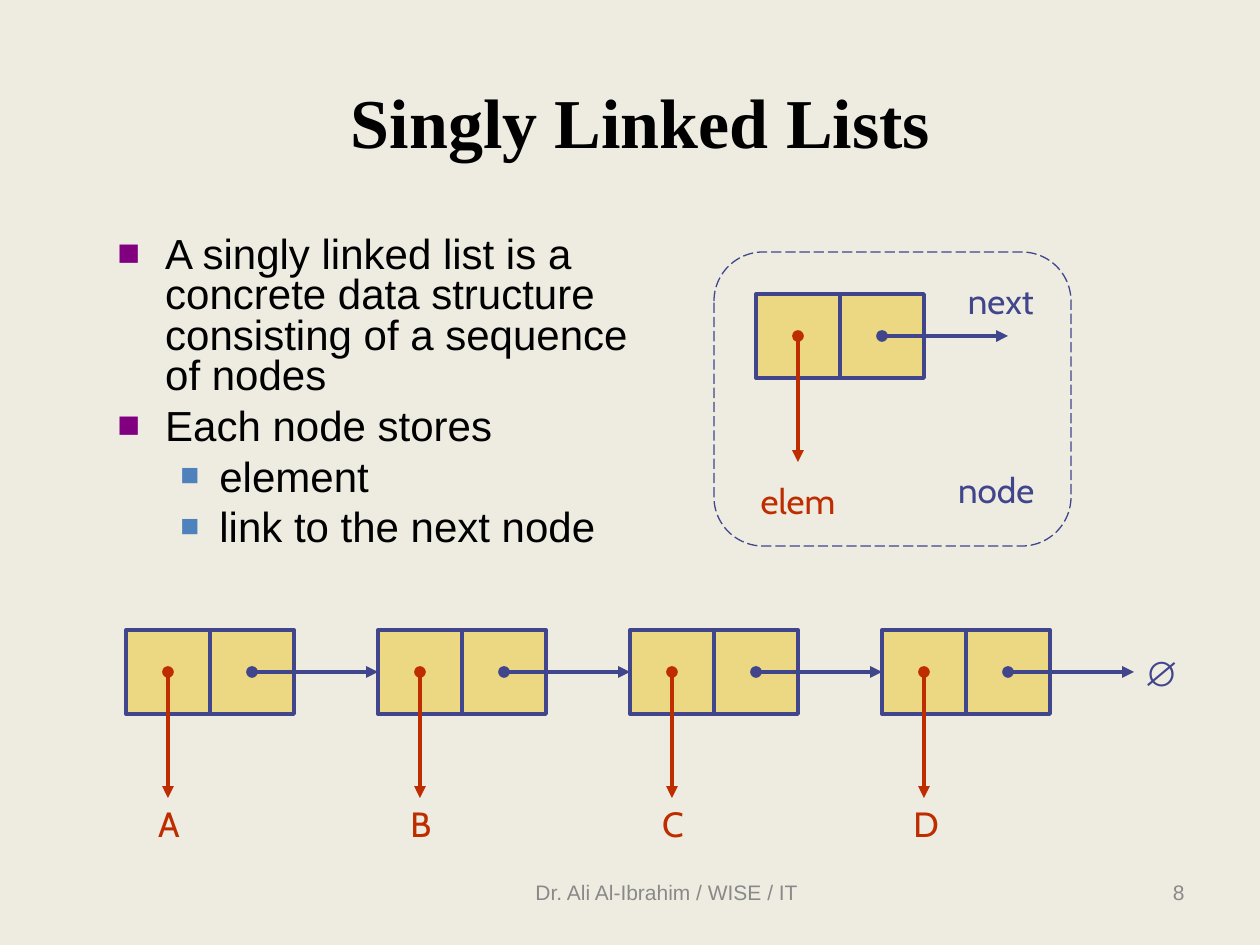
from lxml.etree import SubElement
from pptx import Presentation
from pptx.dml.color import RGBColor
from pptx.enum.dml import MSO_LINE
from pptx.enum.shapes import MSO_CONNECTOR, MSO_SHAPE
from pptx.enum.text import MSO_ANCHOR, MSO_AUTO_SIZE, PP_ALIGN
from pptx.oxml.ns import qn
from pptx.util import Inches, Pt

UNIT = 1 / 3
CELL = 2
LINK = 3
NODE_STEP = 6
LEFT_SIDE = 1
LABEL_HEIGHT = 1.32
BLUE, RED, YELLOW = "40458C", "BE2D00", "ECD882"
BLACK, GREY, PURPLE, LIGHT_BLUE = "000000", "898989", "800080", "4F81BD"
BACKGROUND = "EEECE1"


def grid(*units):
    return [Inches(unit * UNIT) for unit in units]


def color(hex_string):
    return RGBColor.from_string(hex_string)


def format_runs(paragraph, size, font_name, hex_color, bold=False):
    for run in paragraph.runs:
        run.font.size = Pt(size)
        run.font.name = font_name
        run.font.color.rgb = color(hex_color)
        run.font.bold = bold


def add_text(slide, box, text, size, font_name, hex_color, align, bold=False):
    shape = slide.shapes.add_textbox(*grid(*box))
    text_frame = shape.text_frame
    text_frame.word_wrap = True
    text_frame.vertical_anchor = MSO_ANCHOR.MIDDLE
    text_frame.text = text
    paragraph = text_frame.paragraphs[0]
    paragraph.alignment = align
    format_runs(paragraph, size, font_name, hex_color, bold)
    return shape


def add_label(slide, column, row, width, text, hex_color, font_name="Cabin", bold=False):
    box = (column - width / 2, row - LABEL_HEIGHT / 2, width, LABEL_HEIGHT)
    shape = add_text(slide, box, text, 20, font_name, hex_color, PP_ALIGN.CENTER, bold)
    shape.text_frame.word_wrap = False
    shape.text_frame.vertical_anchor = MSO_ANCHOR.TOP
    shape.text_frame.auto_size = MSO_AUTO_SIZE.SHAPE_TO_FIT_TEXT


def add_bullets(slide, box, items):
    text_frame = slide.shapes.add_textbox(*grid(*box)).text_frame
    text_frame.word_wrap = True
    text_frame.text = "\n".join(text for text, level in items)
    styles = [(0.38, 0.38, PURPLE, 90), (0.81, 0.31, LIGHT_BLUE, 75)]
    for index, (paragraph, (text, level)) in enumerate(zip(text_frame.paragraphs, items)):
        margin, hanging, bullet_color, bullet_size = styles[level]
        paragraph.level = level
        paragraph.line_spacing = 0.8
        paragraph.space_before = Pt(6 if index else 0)
        properties = paragraph._p.get_or_add_pPr()
        properties.set("marL", str(Inches(margin)))
        properties.set("indent", str(-Inches(hanging)))
        fill = SubElement(properties, qn("a:buClr"))
        SubElement(fill, qn("a:srgbClr"), val=bullet_color)
        SubElement(properties, qn("a:buSzPct"), val=str(bullet_size * 1000))
        SubElement(properties, qn("a:buFont"), typeface="Arial")
        SubElement(properties, qn("a:buChar"), char="■")
        format_runs(paragraph, 24, "Arial", BLACK)


def add_frame(slide, box):
    frame = slide.shapes.add_shape(MSO_SHAPE.ROUNDED_RECTANGLE, *grid(*box))
    frame.adjustments[0] = 0.167
    frame.shadow.inherit = False
    frame.fill.background()
    frame.line.color.rgb = color(BLUE)
    frame.line.width = Pt(0.75)
    frame.line.dash_style = MSO_LINE.LONG_DASH


def add_cell(slide, column, row):
    cell = slide.shapes.add_shape(MSO_SHAPE.RECTANGLE, *grid(column, row, CELL, CELL))
    cell.shadow.inherit = False
    cell.fill.solid()
    cell.fill.fore_color.rgb = color(YELLOW)
    cell.line.color.rgb = color(BLUE)
    cell.line.width = Pt(2.25)
    return cell


def add_node(slide, column, row):
    element_cell = add_cell(slide, column, row)
    add_cell(slide, column + CELL, row)
    return element_cell


def add_arrow(slide, start, end, hex_color):
    arrow = slide.shapes.add_connector(MSO_CONNECTOR.STRAIGHT, *grid(*start, *end))
    arrow.line.color.rgb = color(hex_color)
    arrow.line.width = Pt(2.25)
    line = arrow.line._get_or_add_ln()
    SubElement(line, qn("a:headEnd"), type="oval")
    SubElement(line, qn("a:tailEnd"), type="triangle")
    SubElement(arrow._element.spPr, qn("a:effectLst"))
    return arrow


def add_node_arrows(slide, column, row):
    middle = row + CELL / 2
    element_column = column + CELL / 2
    next_column = element_column + CELL
    add_arrow(slide, (element_column, middle), (element_column, middle + LINK), RED)
    return add_arrow(slide, (next_column, middle), (next_column + LINK, middle), BLUE)


def add_node_diagram(slide, column, row):
    add_frame(slide, (column - 1, row - 1, 8.5, 7))
    add_node(slide, column, row)
    add_node_arrows(slide, column, row)
    add_label(slide, column + 5.83, row + 0.17, 2.31, "next", BLUE)
    add_label(slide, column + 1, row + 4.94, 2.52, "elem", RED)
    add_label(slide, column + 5.72, row + 4.67, 2.61, "node", BLUE)


def add_linked_list(slide, column, row, elements):
    columns = [column + index * NODE_STEP for index in range(len(elements))]
    nodes = [add_node(slide, node_column, row) for node_column in columns]
    links = [add_node_arrows(slide, node_column, row) for node_column in columns]
    for link, following in zip(links, nodes[1:]):
        link.end_connect(following, LEFT_SIDE)
    for node_column, element in zip(columns, elements):
        add_label(slide, node_column + 1.02, row + 4.62, 1.14, element, RED)
    add_label(slide, columns[-1] + 6.57, row + 1.02, 1.26, "∅", BLUE, "Arial", True)


def main():
    presentation = Presentation()
    presentation.slide_width = Inches(10)
    presentation.slide_height = Inches(7.5)
    slide = presentation.slides.add_slide(presentation.slide_layouts[6])
    slide.background.fill.solid()
    slide.background.fill.fore_color.rgb = color(BACKGROUND)

    add_text(slide, (2.5, 1, 25.5, 3.75), "Singly Linked Lists",
             40, "Times New Roman", BLACK, PP_ALIGN.CENTER, True)
    add_bullets(slide, (2.5, 5.5, 13.5, 8.25), [
        ("A singly linked list is a concrete data structure consisting of a sequence of nodes", 0),
        ("Each node stores", 0),
        ("element", 1),
        ("link to the next node", 1),
    ])
    add_node_diagram(slide, 18, 7)
    add_linked_list(slide, 3, 15, "ABCD")
    add_text(slide, (11, 20.5, 9.75, 1.5), "Dr. Ali Al-Ibrahim / WISE / IT",
             12, "Arial", GREY, PP_ALIGN.CENTER)
    add_text(slide, (22.25, 20.5, 6.25, 1.5), "8", 12, "Arial", GREY, PP_ALIGN.RIGHT)
    presentation.save("out.pptx")


if __name__ == "__main__":
    main()
